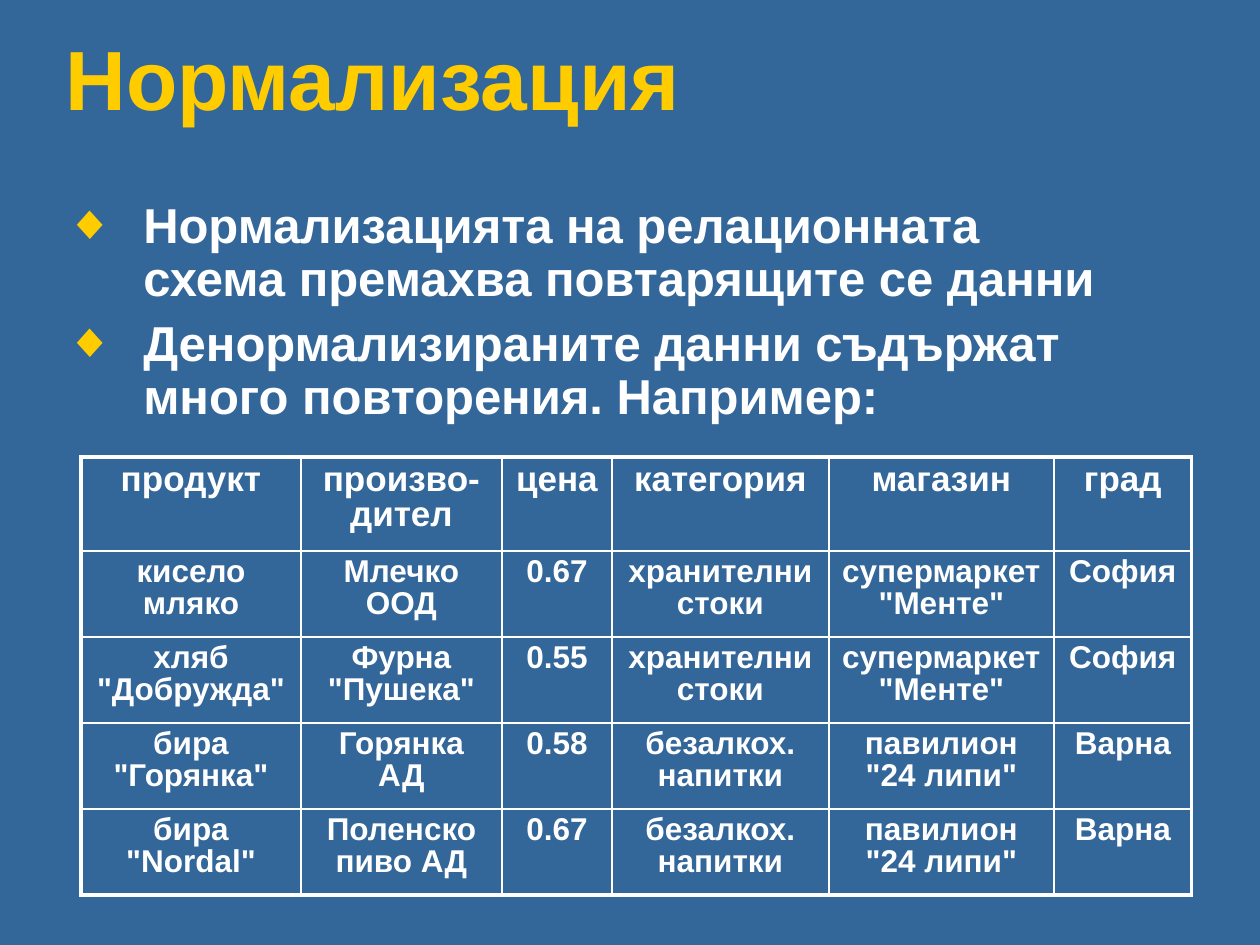
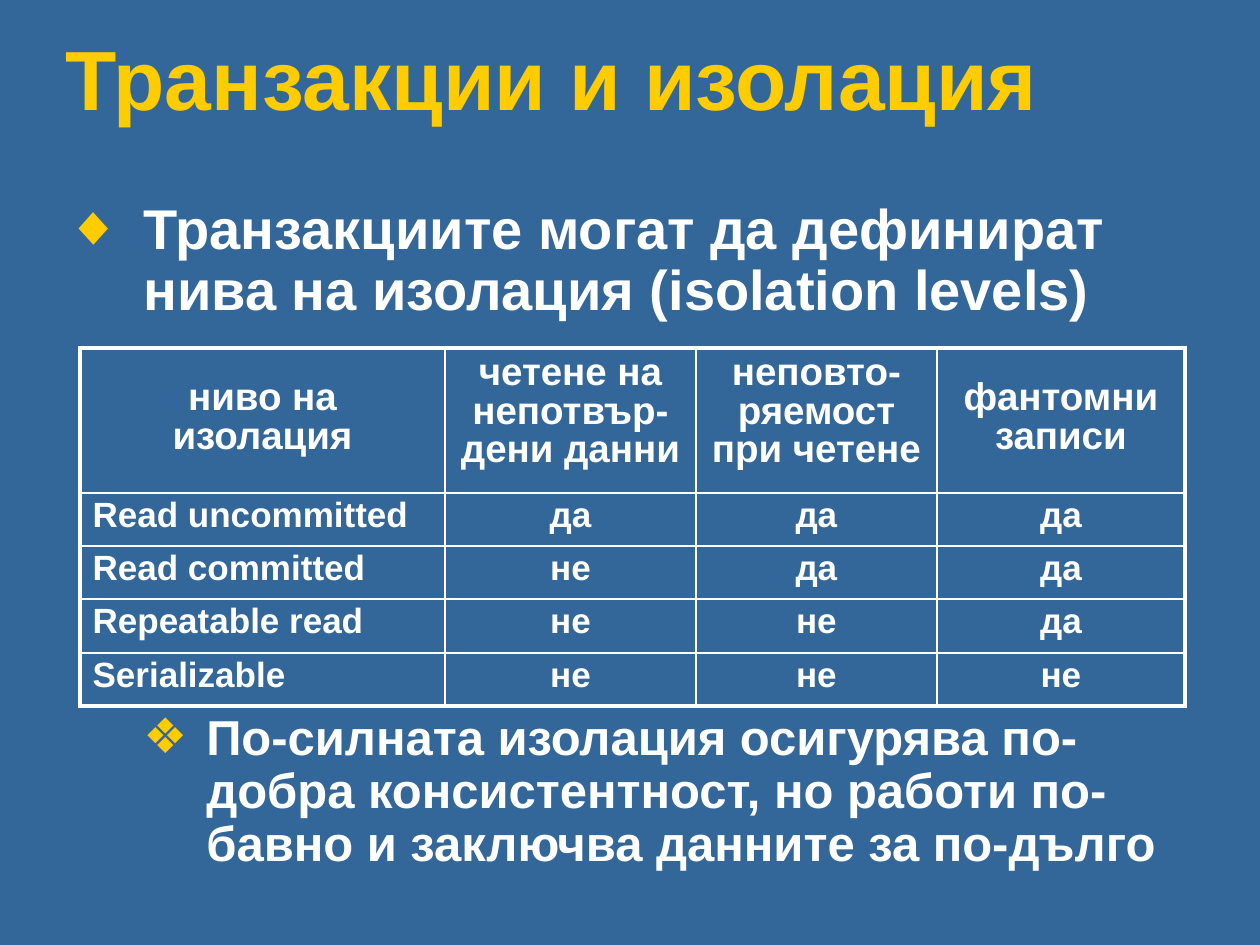
from dataclasses import dataclass

from lxml.etree import SubElement
from pptx import Presentation
from pptx.dml.color import RGBColor
from pptx.enum.text import MSO_ANCHOR, MSO_AUTO_SIZE, PP_ALIGN
from pptx.oxml.ns import qn
from pptx.slide import Slide
from pptx.table import _Cell
from pptx.text.text import _Paragraph
from pptx.util import Emu, Pt

COLORS = {"back": "336699", "title": "FFCC00", "text": "FFFFFF"}
FONT = "Arial"
EMU_PER_PX = 914400 / 126
LEFT, TITLE_TOP, TITLE_W, TITLE_H = 53, 28, 1168, 110
BODY_TOP, BODY_H = 195, 706
OUTER_PT, INNER_PT = 2.25, 1


@dataclass(frozen=True)
class Bullet:
    text: str
    size: int
    mark: str = "◆"
    margin: int = 78
    hang: int = 78
    before: float = 0


@dataclass(frozen=True)
class Grid:
    left: int
    top: int
    cols: list[int]
    row_heights: list[int]
    rows: list[list[str]]
    head_size: int
    body_size: int
    left_column: bool = False


@dataclass(frozen=True)
class Page:
    title: str
    body_width: int
    bullets: list[Bullet]
    grid: Grid


PAGES = [
    Page(
        "Нормализация",
        1071,
        [
            Bullet("Нормализацията на релационната схема премахва повтарящите се данни", 28),
            Bullet("Денормализираните данни съдържат много повторения. Например:", 28, before=7),
        ],
        Grid(
            81, 457, [220, 201, 110, 217, 225, 138], [94] + [86] * 4,
            [
                ["продукт", "произво-дител", "цена", "категория", "магазин", "град"],
                ["кисело мляко", "Млечко ООД", "0.67", "хранителни стоки",
                 'супермаркет "Менте"', "София"],
                ['хляб "Добружда"', 'Фурна "Пушека"', "0.55", "хранителни стоки",
                 'супермаркет "Менте"', "София"],
                ['бира "Горянка"', "Горянка АД", "0.58", "безалкох. напитки",
                 'павилион "24 липи"', "Варна"],
                ['бира "Nordal"', "Поленско пиво АД", "0.67", "безалкох. напитки",
                 'павилион "24 липи"', "Варна"],
            ],
            20, 18,
        ),
    ),
    Page(
        "Транзакции и изолация",
        1158,
        [
            Bullet("Транзакциите могат да дефинират нива на изолация (isolation levels)", 32),
            Bullet("По-силната изолация осигурява по-добра консистентност, "
                   "но работи по-бавно и заключва данните за по-дълго",
                   28, "❖", 141, 63, 223.5),
        ],
        Grid(
            80, 348, [365, 251, 241, 248], [145, 53, 53, 54, 53],
            [
                ["ниво на\nизолация", "четене на непотвър-дени данни",
                 "неповто-ряемост при четене", "фантомни\nзаписи"],
                ["Read uncommitted", "да", "да", "да"],
                ["Read committed", "не", "да", "да"],
                ["Repeatable read", "не", "не", "да"],
                ["Serializable", "не", "не", "не"],
            ],
            22, 20, True,
        ),
    ),
]


def px(n: float) -> Emu:
    """Turn pixels into EMU."""
    return Emu(round(n * EMU_PER_PX))


def add_text(p: _Paragraph, text: str, size: int, color: str = "text", spacing: float = 0.9) -> None:
    """Add one bold run to a paragraph."""
    p.line_spacing = spacing
    r = p.add_run()
    r.text = text
    r.font.name, r.font.size, r.font.bold = FONT, Pt(size), True
    r.font.color.rgb = RGBColor.from_string(COLORS[color])


def set_bullet(p: _Paragraph, b: Bullet) -> None:
    """Give a paragraph its hanging indent and coloured mark."""
    pPr = p._p.get_or_add_pPr()
    pPr.set("marL", str(px(b.margin)))
    pPr.set("indent", str(-px(b.hang)))
    SubElement(SubElement(pPr, qn("a:buClr")), qn("a:srgbClr"), val=COLORS["title"])
    SubElement(pPr, qn("a:buSzPct"), val="100000")
    SubElement(pPr, qn("a:buFont"), typeface=FONT)
    SubElement(pPr, qn("a:buChar"), char=b.mark)


def add_title(s: Slide, text: str) -> None:
    """Place and fill the title placeholder."""
    sp = s.shapes.title
    sp.left, sp.top, sp.width, sp.height = map(px, (LEFT, TITLE_TOP, TITLE_W, TITLE_H))
    tf = sp.text_frame
    tf.auto_size, tf.vertical_anchor = MSO_AUTO_SIZE.NONE, MSO_ANCHOR.MIDDLE
    p = tf.paragraphs[0]
    p.alignment = PP_ALIGN.LEFT
    add_text(p, text, 48, "title")


def add_bullets(s: Slide, width: int, bullets: list[Bullet]) -> None:
    """Draw the bulleted text below the title."""
    tf = s.shapes.add_textbox(px(LEFT), px(BODY_TOP), px(width), px(BODY_H)).text_frame
    tf.word_wrap = True
    for i, b in enumerate(bullets):
        p = tf.add_paragraph() if i else tf.paragraphs[0]
        set_bullet(p, b)
        if b.before:
            p.space_before = Pt(b.before)
        add_text(p, b.text, b.size)


def set_borders(cell: _Cell, outer: dict[str, bool]) -> None:
    """Draw the four cell edges, thicker on the outside of the table."""
    tcPr = cell._tc.get_or_add_tcPr()
    for i, (side, is_outer) in enumerate(outer.items()):
        width = Pt(OUTER_PT if is_outer else INNER_PT)
        ln = SubElement(tcPr, qn(f"a:ln{side}"), w=str(width))
        SubElement(SubElement(ln, qn("a:solidFill")), qn("a:srgbClr"), val=COLORS["text"])
        tcPr.insert(i, ln)


def fill_cell(cell: _Cell, g: Grid, i: int, j: int) -> None:
    """Write and format the cell in row i and column j."""
    if i == 0:
        cell.fill.solid()
        cell.fill.fore_color.rgb = RGBColor.from_string(COLORS["back"])
    else:
        cell.fill.background()
    set_borders(cell, {"L": j == 0, "R": j == len(g.cols) - 1,
                       "T": i == 0, "B": i == len(g.rows) - 1})
    lines = g.rows[i][j].split("\n")
    for k, line in enumerate(lines):
        p = cell.text_frame.add_paragraph() if k else cell.text_frame.paragraphs[0]
        p.alignment = PP_ALIGN.LEFT if g.left_column and i and j == 0 else PP_ALIGN.CENTER
        spacing = 1.5 if k < len(lines) - 1 else 0.9
        add_text(p, line, g.body_size if i else g.head_size, spacing=spacing)


def add_grid(s: Slide, g: Grid) -> None:
    """Draw a table from its grid description."""
    table = s.shapes.add_table(len(g.rows), len(g.cols), px(g.left), px(g.top),
                               px(sum(g.cols)), px(sum(g.row_heights))).table
    table.first_row = table.horz_banding = False
    for col, width in zip(table.columns, g.cols):
        col.width = px(width)
    for i, height in enumerate(g.row_heights):
        table.rows[i].height = px(height)
        for j in range(len(g.cols)):
            fill_cell(table.cell(i, j), g, i, j)


def main() -> None:
    """Build and save the presentation."""
    prs = Presentation()
    prs.slide_width, prs.slide_height = px(1260), px(945)
    fill = prs.slide_master.background.fill
    fill.solid()
    fill.fore_color.rgb = RGBColor.from_string(COLORS["back"])
    for page in PAGES:
        s = prs.slides.add_slide(prs.slide_layouts[5])
        add_title(s, page.title)
        add_bullets(s, page.body_width, page.bullets)
        add_grid(s, page.grid)
    prs.save("out.pptx")


if __name__ == "__main__":
    main()
